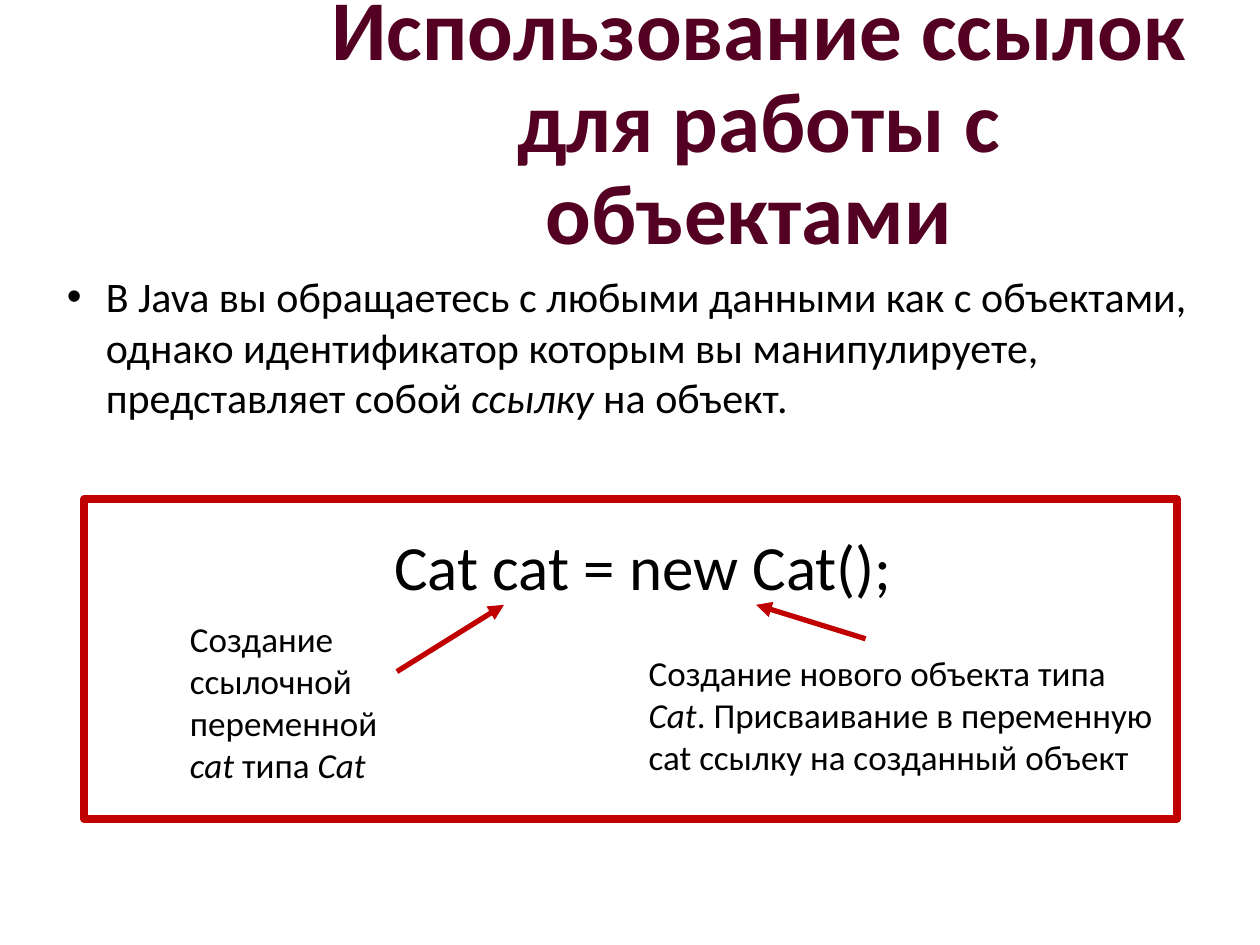
from lxml.etree import SubElement
from pptx import Presentation
from pptx.dml.color import RGBColor
from pptx.enum.shapes import MSO_CONNECTOR, MSO_SHAPE
from pptx.enum.text import MSO_ANCHOR, MSO_AUTO_SIZE, PP_ALIGN
from pptx.oxml.ns import qn
from pptx.util import Inches, Pt

# Content: each text is a list of (words, italic) runs
TITLE = [("Использование ссылок для работы с объектами ", False)]
BODY = [
    ("В Java вы обращаетесь с любыми данными как с объектами, однако "
     "идентификатор которым вы манипулируете, представляет собой ", False),
    ("ссылку ", True),
    ("на объект.", False),
]
CODE = [("Cat cat = new Cat();", False)]
REFERENCE_NOTE = [("Создание ссылочной переменной ", False), ("cat ", True),
                  ("типа ", False), ("Cat", True)]
OBJECT_NOTE = [
    ("Создание нового объекта типа ", False),
    ("Cat", True),
    (". Присваивание в переменную cat ссылку на созданный объект", False),
]
# Diagram texts: runs, box (left, top, width, height), size
DIAGRAM_TEXTS = [
    (CODE, (3.03, 4.14, 4.49, 0.71), 36),
    (REFERENCE_NOTE, (1.41, 4.85, 2.07, 1.45), 20),
    (OBJECT_NOTE, (5.05, 5.12, 4.23, 1.11), 20),
]
# Arrows from a note to the code: start, end
ARROWS = [((3.15, 5.33), (4, 4.8)), ((6.87, 5.07), (6, 4.8))]
FRAME = (0.67, 3.96, 8.67, 2.54)
COLORS = {"title": "540022", "text": "000000", "accent": "C00000", "paper": "FFFFFF"}
FONT = "Calibri"


def color(name):
    return RGBColor.from_string(COLORS[name])


def place(shape, box):
    shape.left, shape.top, shape.width, shape.height = map(Inches, box)


def write(shape, runs, size, ink="text", bold=False, align=PP_ALIGN.LEFT,
          anchor=MSO_ANCHOR.TOP, spacing=1.0):
    tf = shape.text_frame
    tf.word_wrap = True
    tf.auto_size = MSO_AUTO_SIZE.NONE
    tf.vertical_anchor = anchor
    p = tf.paragraphs[0]
    p.alignment, p.line_spacing, p.space_before = align, spacing, Pt(0)
    for words, italic in runs:
        r = p.add_run()
        r.text = words
        r.font.name, r.font.size = FONT, Pt(size)
        r.font.bold, r.font.italic = bold, italic
        r.font.color.rgb = color(ink)
    return p


def add_arrow(shapes, start, end):
    line = shapes.add_connector(MSO_CONNECTOR.STRAIGHT, *map(Inches, start + end))
    line.line.color.rgb = color("accent")
    line.line.width = Pt(3)
    SubElement(line.line._get_or_add_ln(), qn("a:tailEnd"), type="triangle")
    SubElement(line._element.spPr, qn("a:effectLst"))


prs = Presentation()
prs.slide_width, prs.slide_height = Inches(10), Inches(7.5)
s = prs.slides.add_slide(prs.slide_layouts[1])
title, body = s.placeholders

# Title and bulleted statement
place(title, (2.42, 0.15, 7.2, 1.68))
write(title, TITLE, 48.6, ink="title", bold=True, align=PP_ALIGN.CENTER,
      anchor=MSO_ANCHOR.MIDDLE, spacing=0.9)
place(body, (0.43, 2.1, 9.38, 1.31))
pPr = write(body, BODY, 24)._p.get_or_add_pPr()
pPr.set("marL", str(Inches(0.31)))
pPr.set("indent", str(-Inches(0.31)))
SubElement(pPr, qn("a:buChar"), char="•")

# Framed diagram, kept as one group
diagram = s.shapes.add_group_shape().shapes
frame = diagram.add_shape(MSO_SHAPE.RECTANGLE, *map(Inches, FRAME))
frame.shadow.inherit = False
frame.fill.solid()
frame.fill.fore_color.rgb = color("paper")
frame.line.color.rgb = color("accent")
frame.line.width = Pt(4.5)
for start, end in ARROWS:
    add_arrow(diagram, start, end)
for runs, box, size in DIAGRAM_TEXTS:
    write(diagram.add_textbox(*map(Inches, box)), runs, size)

prs.save("out.pptx")
